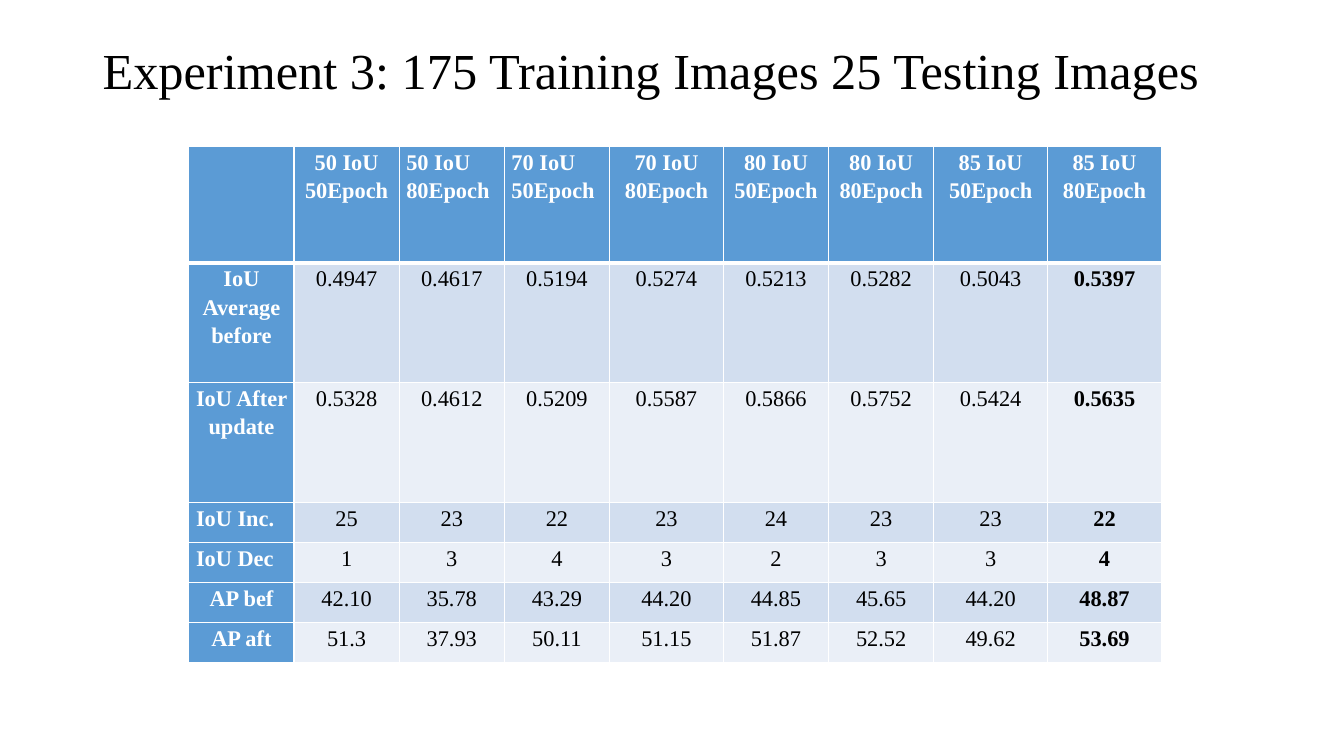
from dataclasses import dataclass

from lxml import etree
from pptx import Presentation
from pptx import util as u
from pptx.dml import color
from pptx.enum import text
from pptx.oxml import ns


@dataclass(frozen=True)
class Theme:
    font: str = "Times New Roman"
    title_size: int = 36
    table_size: int = 16
    ink: str = "000000"
    paper: str = "FFFFFF"
    header: str = "5B9BD5"
    bands: tuple = ("D2DEEF", "EAEFF7")


THEME = Theme()
CENTER = text.PP_ALIGN.CENTER
JUSTIFY = text.PP_ALIGN.JUSTIFY

TITLE = "Experiment 3: 175 Training Images 25 Testing Images"
RESULTS = [
    ["", "50 IoU 50Epoch", "50 IoU\n80Epoch", "70 IoU\n50Epoch", "70 IoU 80Epoch",
     "80 IoU\n50Epoch", "80 IoU 80Epoch", "85 IoU\n50Epoch", "85 IoU 80Epoch"],
    ["IoU Average before", "0.4947", "0.4617", "0.5194", "0.5274",
     "0.5213", "0.5282", "0.5043", "0.5397"],
    ["IoU After update", "0.5328", "0.4612", "0.5209", "0.5587",
     "0.5866", "0.5752", "0.5424", "0.5635"],
    ["IoU Inc.", "25", "23", "22", "23", "24", "23", "23", "22"],
    ["IoU Dec", "1", "3", "4", "3", "2", "3", "3", "4"],
    ["AP bef", "42.10", "35.78", "43.29", "44.20", "44.85", "45.65", "44.20", "48.87"],
    ["AP aft", "51.3", "37.93", "50.11", "51.15", "51.87", "52.52", "49.62", "53.69"],
]
JUSTIFIED = {(0, 2), (0, 3), (3, 0), (4, 0)}
WIDE_COLUMNS = {4, 7, 8}
ROW_HEIGHTS = [2.93] + [3.02] * 2 + [1.01] * 4


def set_values(target, values):
    for name, value in values.items():
        setattr(target, name, value)


def format_paragraph(para, size, ink, bold, align, spacing):
    set_values(para, {"alignment": align, "line_spacing": spacing})
    for span in para.runs:
        set_values(span.font, {"name": THEME.font, "size": u.Pt(size), "bold": bold})
        span.font.color.rgb = color.RGBColor.from_string(ink)


def add_title(page):
    title = page.shapes.title
    set_values(title, {"left": u.Cm(2.33), "top": u.Cm(0),
                       "width": u.Cm(29.21), "height": u.Cm(3.68)})
    frame = title.text_frame
    set_values(frame, {"text": TITLE, "word_wrap": True,
                       "vertical_anchor": text.MSO_ANCHOR.MIDDLE})
    format_paragraph(frame.paragraphs[0], THEME.title_size, THEME.ink, False,
                     text.PP_ALIGN.LEFT, 0.9)


def set_borders(cell, widths):
    """Draw the cell's sides; widths maps L, R, T and B to points."""
    properties = cell._tc.get_or_add_tcPr()
    for side, points in widths.items():
        line = etree.SubElement(properties, ns.qn(f"a:ln{side}"), w=str(u.Pt(points)))
        fill = etree.SubElement(line, ns.qn("a:solidFill"))
        etree.SubElement(fill, ns.qn("a:srgbClr"), val=THEME.paper)


def fill_cell(cell, content, row, column):
    is_header = row == 0 or column == 0
    is_best = column == len(RESULTS[0]) - 1
    background = THEME.header if is_header else THEME.bands[(row - 1) % 2]
    ink = THEME.paper if is_header else THEME.ink
    align = JUSTIFY if (row, column) in JUSTIFIED else CENTER

    set_borders(cell, {"L": 1, "R": 1, "T": 3 if row == 1 else 1, "B": 3 if row == 0 else 1})
    cell.fill.solid()
    cell.fill.fore_color.rgb = color.RGBColor.from_string(background)
    set_values(cell, {"text": content, "margin_left": u.Cm(0.18), "margin_right": u.Cm(0.18),
                      "margin_top": 0, "margin_bottom": 0})
    for para in cell.text_frame.paragraphs:
        format_paragraph(para, THEME.table_size, ink, is_header or is_best, align, 1.15)


def add_results_table(page):
    widths = [2.87 if column in WIDE_COLUMNS else 2.65 for column in range(len(RESULTS[0]))]
    table = page.shapes.add_table(
        len(RESULTS), len(widths), u.Cm(4.76), u.Cm(3.69),
        u.Cm(sum(widths)), u.Cm(sum(ROW_HEIGHTS))).table
    for column, width in zip(table.columns, widths):
        column.width = u.Cm(width)
    for row, height in zip(table.rows, ROW_HEIGHTS):
        row.height = u.Cm(height)
    for row, values in enumerate(RESULTS):
        for column, content in enumerate(values):
            fill_cell(table.cell(row, column), content, row, column)


def main():
    deck = Presentation()
    set_values(deck, {"slide_width": u.Cm(33.87), "slide_height": u.Cm(19.05)})
    page = deck.slides.add_slide(deck.slide_layouts.get_by_name("Title Only"))
    add_title(page)
    add_results_table(page)
    deck.save("out.pptx")


if __name__ == "__main__":
    main()
